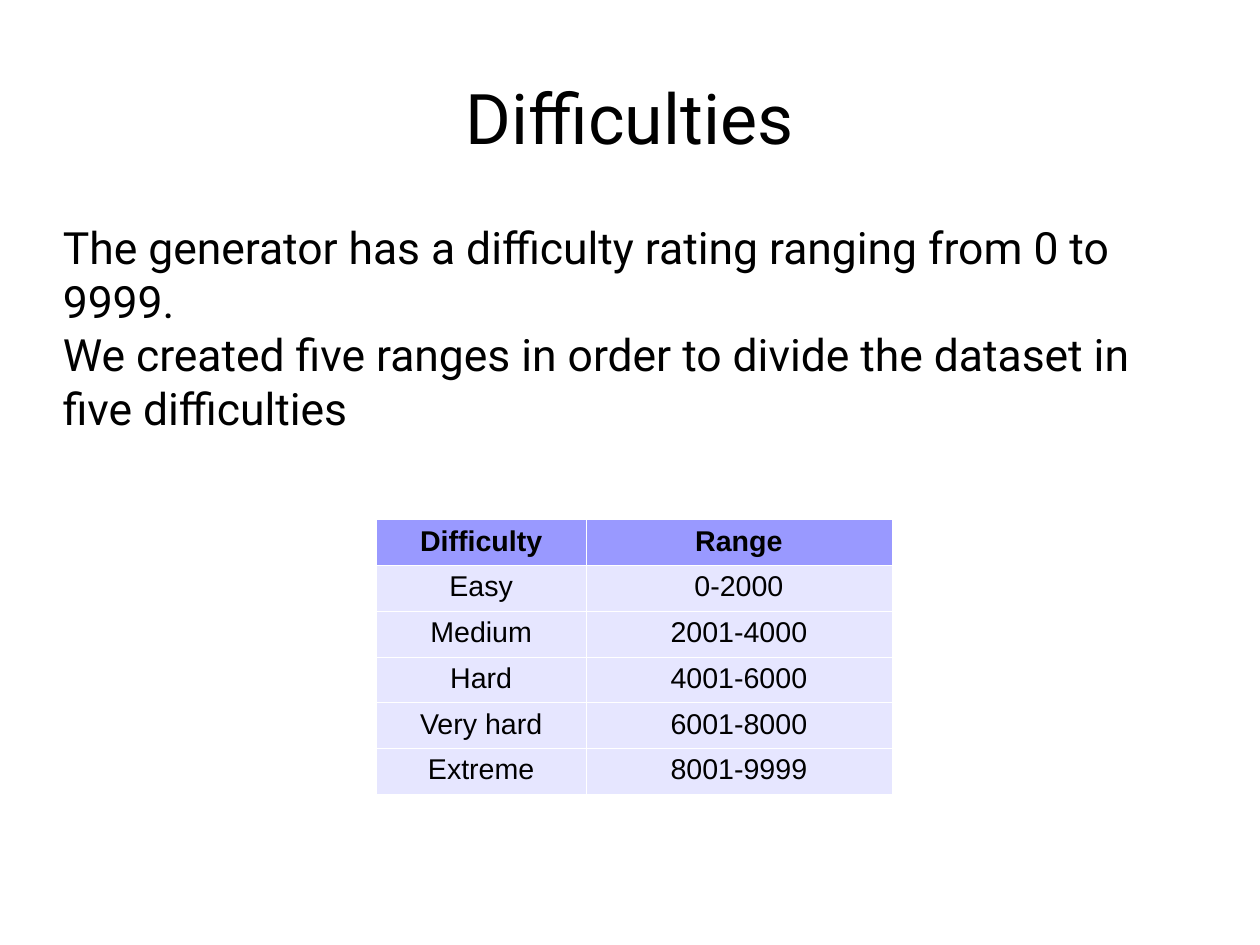
from lxml.etree import SubElement
from pptx import Presentation
from pptx.dml.color import RGBColor
from pptx.enum.text import MSO_ANCHOR, PP_ALIGN
from pptx.oxml.ns import qn
from pptx.util import Pt

BLACK = RGBColor(0x00, 0x00, 0x00)
WHITE = RGBColor(0xFF, 0xFF, 0xFF)
HEADER_FILL = RGBColor(0x99, 0x99, 0xFF)
BODY_FILL = RGBColor(0xE6, 0xE6, 0xFF)

MARGIN_LEFT = 39.6
TEXT_WIDTH = 714.24
ROW_HEIGHT = 27.3
COLUMN_WIDTHS = (132.2, 192.5)

EXPLANATION = (
    "The generator has a difficulty rating ranging from 0 to 9999.",
    "We created five ranges in order to divide the dataset in five difficulties",
)
DIFFICULTY_RANGES = (
    ("Difficulty", "Range"),
    ("Easy", "0-2000"),
    ("Medium", "2001-4000"),
    ("Hard", "4001-6000"),
    ("Very hard", "6001-8000"),
    ("Extreme", "8001-9999"),
)


def write_paragraph(para, text, font, size, align, bold=False):
    para.alignment = align
    span = para.add_run()
    span.text = text
    span.font.name = font
    span.font.size = Pt(size)
    span.font.bold = bold
    span.font.color.rgb = BLACK


def add_text(page, top, height, lines, size, align, anchor):
    box = page.shapes.add_textbox(Pt(MARGIN_LEFT), Pt(top), Pt(TEXT_WIDTH), Pt(height))
    frame = box.text_frame
    frame.word_wrap = True
    frame.vertical_anchor = anchor
    frame.margin_left = frame.margin_right = Pt(0)
    frame.margin_top = frame.margin_bottom = Pt(0)
    for index, line in enumerate(lines):
        para = frame.add_paragraph() if index else frame.paragraphs[0]
        write_paragraph(para, line, "Roboto", size, align)


def style_cell(cell, fill):
    properties = cell._tc.get_or_add_tcPr()
    for side in ("a:lnL", "a:lnR", "a:lnT", "a:lnB"):
        line = SubElement(properties, qn(side), w=str(Pt(0.06)))
        solid = SubElement(line, qn("a:solidFill"))
        SubElement(solid, qn("a:srgbClr"), val=str(WHITE))
    cell.fill.solid()
    cell.fill.fore_color.rgb = fill
    cell.margin_left = cell.margin_right = Pt(7.2)
    cell.margin_top = cell.margin_bottom = Pt(3.6)


def add_range_table(page, left, top, rows):
    frame = page.shapes.add_table(
        len(rows), len(COLUMN_WIDTHS), Pt(left), Pt(top),
        Pt(sum(COLUMN_WIDTHS)), Pt(ROW_HEIGHT * len(rows)),
    )
    table = frame.table
    for column, width in zip(table.columns, COLUMN_WIDTHS):
        column.width = Pt(width)
    for row_index, values in enumerate(rows):
        is_header = row_index == 0
        table.rows[row_index].height = Pt(ROW_HEIGHT)
        for cell, value in zip(table.rows[row_index].cells, values):
            style_cell(cell, HEADER_FILL if is_header else BODY_FILL)
            para = cell.text_frame.paragraphs[0]
            write_paragraph(para, value, "Arial", 18, PP_ALIGN.CENTER, is_header)


def main():
    deck = Presentation()
    deck.slide_width = Pt(793.7)
    deck.slide_height = Pt(595.3)
    page = deck.slides.add_slide(deck.slide_layouts[6])
    page.background.fill.solid()
    page.background.fill.fore_color.rgb = WHITE
    add_text(page, 23.76, 99.36, ("Difficulties",), 44, PP_ALIGN.CENTER, MSO_ANCHOR.MIDDLE)
    add_text(page, 138.96, 156.24, EXPLANATION, 28, PP_ALIGN.LEFT, MSO_ANCHOR.TOP)
    add_range_table(page, 237, 327.2, DIFFICULTY_RANGES)
    deck.save("out.pptx")


if __name__ == "__main__":
    main()
